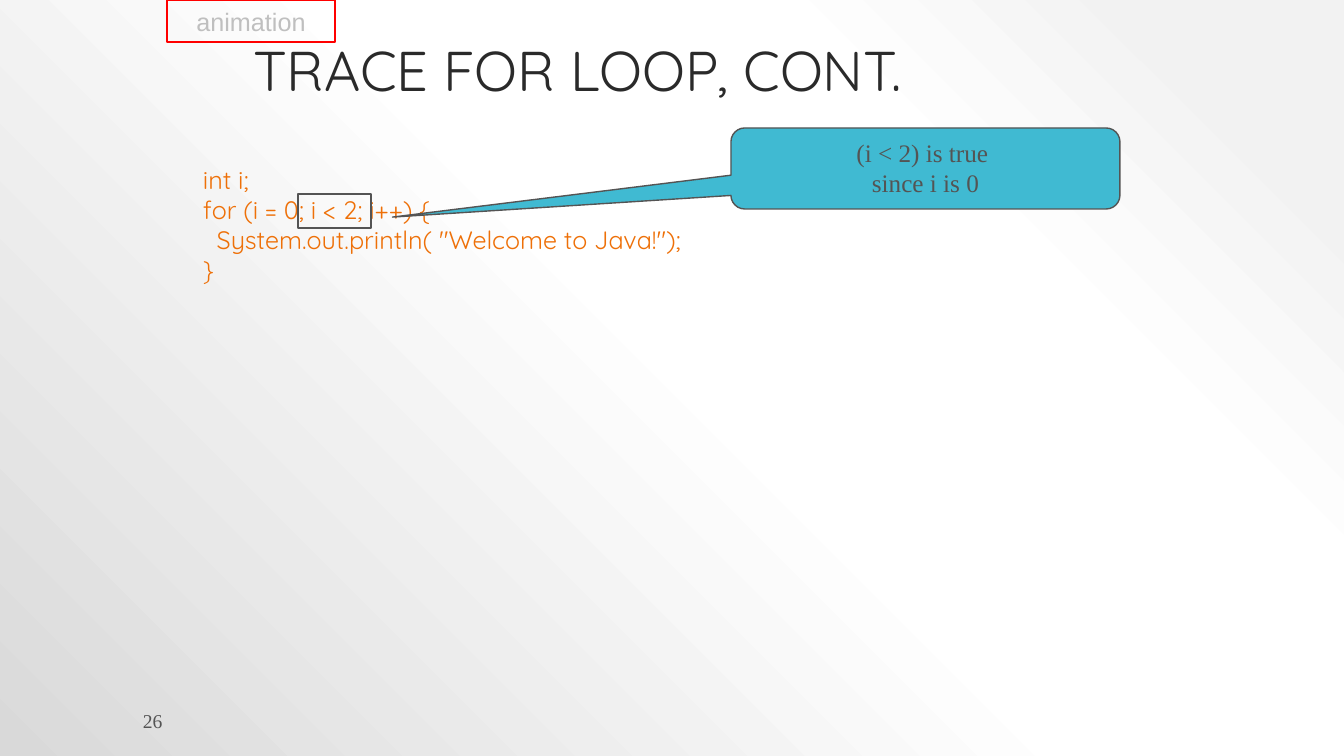
from dataclasses import dataclass
from typing import Optional

from lxml.etree import SubElement
from pptx import Presentation
from pptx.dml.color import RGBColor
from pptx.enum.shapes import MSO_SHAPE as Preset
from pptx.enum.text import MSO_ANCHOR as Anchor, MSO_AUTO_SIZE as AutoSize, PP_ALIGN as Align
from pptx.oxml.ns import qn
from pptx.util import Emu, Pt

PX = 12192000 / 1344
GREY = "545454"
BACKDROP_STOPS = {10: "F2F2F2", 28: "FFFFFF", 48: "FFFFFF", 100: "D9D9D9"}
CODE = """int i;
for (i = 0; i < 2; i++) {
  System.out.println( "Welcome to Java!");
}"""


@dataclass
class Label:
    text: str
    font: str
    size: int
    color: str
    align: Align = Align.LEFT
    anchor: Anchor = Anchor.TOP
    wrap: bool = True
    line_spacing: float = 1.0


@dataclass
class Box:
    area: tuple[int, int, int, int]
    label: Optional[Label] = None
    preset: Optional[Preset] = None
    fill: Optional[str] = None
    line: Optional[str] = None
    adjustments: tuple[float, ...] = ()


def px(length: int) -> Emu:
    return Emu(round(length * PX))


def rgb(color: str) -> RGBColor:
    return RGBColor.from_string(color)


def write(shape, label: Label) -> None:
    frame = shape.text_frame
    frame.text = label.text
    frame_format = {"word_wrap": label.wrap, "auto_size": AutoSize.NONE,
                    "vertical_anchor": label.anchor}
    for name, value in frame_format.items():
        setattr(frame, name, value)
    for paragraph in frame.paragraphs:
        paragraph.alignment = label.align
        paragraph.line_spacing = label.line_spacing
        for name, value in {"name": label.font, "size": Pt(label.size)}.items():
            setattr(paragraph.font, name, value)
        paragraph.font.color.rgb = rgb(label.color)


def draw(slide, box: Box) -> None:
    area = [px(length) for length in box.area]
    if box.preset is None:
        shape = slide.shapes.add_textbox(*area)
    else:
        shape = slide.shapes.add_shape(box.preset, *area)
        shape.shadow.inherit = False
        for index, value in enumerate(box.adjustments):
            shape.adjustments[index] = value
        if box.fill:
            shape.fill.solid()
            shape.fill.fore_color.rgb = rgb(box.fill)
        else:
            shape.fill.background()
        shape.line.color.rgb = rgb(box.line)
        shape.line.width = Pt(1)
    if box.label:
        write(shape, box.label)


def paint_backdrop(slide) -> None:
    """Radial gradient centred on the top right corner."""
    fill = slide.background.fill
    fill.gradient()
    gradient = slide.element.find(".//" + qn("a:gradFill"))
    for part in list(gradient):
        gradient.remove(part)
    stops = SubElement(gradient, qn("a:gsLst"))
    for percent, color in BACKDROP_STOPS.items():
        stop = SubElement(stops, qn("a:gs"), pos=str(percent * 1000))
        SubElement(stop, qn("a:srgbClr"), val=color)
    circle = SubElement(gradient, qn("a:path"), path="circle")
    SubElement(circle, qn("a:fillToRect"), l="100000", b="100000")


def place_title(slide) -> None:
    title = slide.shapes.title
    for name, length in {"left": 243, "top": 25, "width": 857, "height": 84}.items():
        setattr(title, name, px(length))
    write(title, Label("TRACE FOR LOOP, CONT.", "Quicksand", 40, "2A2A2A",
                       anchor=Anchor.BOTTOM, line_spacing=0.9))


BOXES = [
    Box((133, 711, 732, 20),
        Label("26", "Times New Roman", 14, GREY, anchor=Anchor.MIDDLE)),
    Box((193, 159, 598, 132), Label(CODE, "Quicksand", 18, "EE7008")),
    Box((298, 194, 73, 34), preset=Preset.RECTANGLE, line=GREY),
    Box((731, 128, 389, 81),
        Label("(i < 2) is true \nsince i is 0", "Times New Roman", 18, GREY, Align.CENTER),
        Preset.ROUNDED_RECTANGULAR_CALLOUT, "40BAD2", GREY, (-1.37, 0.6, 0.17)),
    Box((167, 0, 168, 42),
        Label("animation", "Arial", 18, "BFBFBF", Align.CENTER, Anchor.MIDDLE, wrap=False),
        Preset.RECTANGLE, line="FF0000"),
]


def main() -> None:
    deck = Presentation()
    deck.slide_width, deck.slide_height = px(1344), px(756)
    slide = deck.slides.add_slide(deck.slide_layouts.get_by_name("Title Only"))
    paint_backdrop(slide)
    place_title(slide)
    for box in BOXES:
        draw(slide, box)
    deck.save("out.pptx")


if __name__ == "__main__":
    main()
